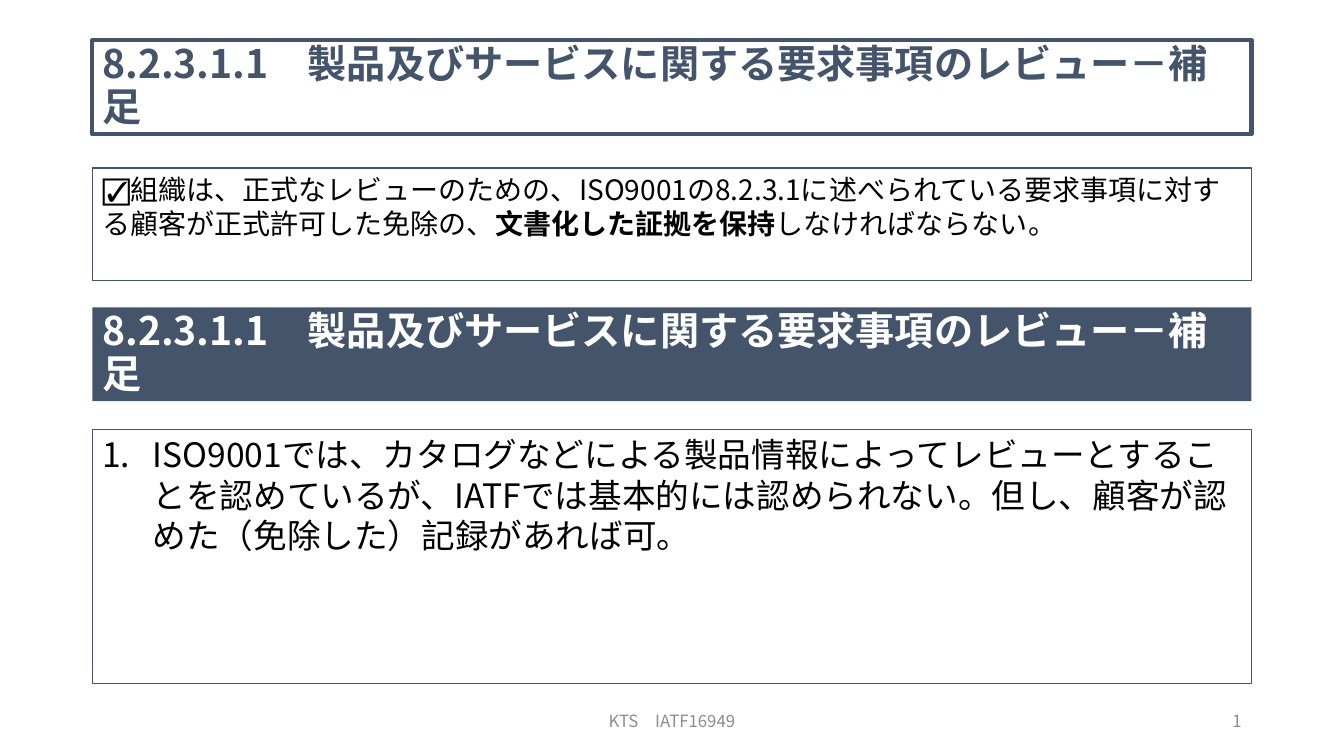
from pptx import Presentation
from pptx.dml.color import RGBColor
from pptx.enum.shapes import MSO_SHAPE
from pptx.enum.text import MSO_ANCHOR, PP_ALIGN
from pptx.oxml.ns import qn
from pptx.util import Pt
from lxml.etree import SubElement

FACE = "Noto Sans CJK JP"
NAVY, WHITE, BLACK, GRAY = "44546A", "FFFFFF", "000000", "8C8C8C"
LEFT, WIDTH = 66, 828


def color(code):
    return RGBColor.from_string(code)


def write(shape, parts, size, tint, bold=False, anchor=MSO_ANCHOR.TOP,
          align=PP_ALIGN.LEFT, number=False):
    """Fill a shape with one paragraph of (text, bold) parts."""
    frame = shape.text_frame
    frame.word_wrap = True
    frame.vertical_anchor = anchor
    para = frame.paragraphs[0]
    para.alignment = align
    if number:
        props = para._p.get_or_add_pPr()
        props.set("marL", str(Pt(36)))
        props.set("indent", str(Pt(-36)))
        SubElement(props, qn("a:buFont"), typeface="+mj-lt")
        SubElement(props, qn("a:buAutoNum"), type="arabicPeriod")
    font = para.font
    font.name, font.size, font.bold = FACE, Pt(size), bold
    font.color.rgb = color(tint)
    SubElement(font._element, qn("a:ea"), typeface=FACE)
    for text, strong in parts:
        run = para.add_run()
        run.text = text
        if strong:
            run.font.bold = True
    return para


deck = Presentation()
deck.slide_width, deck.slide_height = Pt(960), Pt(540)
slide = deck.slides.add_slide(deck.slide_layouts[6])

title = "8.2.3.1.1\u3000製品及びサービスに関する要求事項のレビュー－補足".replace("\u3000", "　")
rule = [
    ("☑組織は、正式なレビューのための、ISO9001の8.2.3.1に述べられている要求事項に対する"
     "顧客が正式許可した免除の、", False),
    ("文書化した証拠を保持", True),
    ("しなければならない。", False),
]
note = ("ISO9001では、カタログなどによる製品情報によってレビューとすることを認めているが、"
        "IATFでは基本的には認められない。但し、顧客が認めた（免除した）記録があれば可。")

# top, height, fill, line width, parts, size, text colour, heading, numbered
boxes = [
    (28.8, 67, WHITE, 3, [(title, False)], 28, NAVY, True, False),
    (120, 80.6, None, 1, rule, 20, BLACK, False, False),
    (219.6, 67, NAVY, 0, [(title, False)], 28, WHITE, True, False),
    (306.7, 181.4, None, 1, [(note, False)], 24, BLACK, False, True),
]
for top, height, fill, line, parts, size, tint, heading, number in boxes:
    box = slide.shapes.add_shape(
        MSO_SHAPE.RECTANGLE, Pt(LEFT), Pt(top), Pt(WIDTH), Pt(height))
    box.shadow.inherit = False
    if fill:
        box.fill.solid()
        box.fill.fore_color.rgb = color(fill)
    else:
        box.fill.background()
    if line:
        box.line.color.rgb = color(NAVY)
        box.line.width = Pt(line)
    else:
        box.line.fill.background()
    anchor = MSO_ANCHOR.MIDDLE if heading else MSO_ANCHOR.TOP
    para = write(box, parts, size, tint, heading, anchor, number=number)
    if heading:
        para.line_spacing = 0.9

footers = [
    (318, 324, "KTS　IATF16949", PP_ALIGN.CENTER),
    (678, 216, "1", PP_ALIGN.RIGHT),
]
for left, width, text, align in footers:
    foot = slide.shapes.add_textbox(Pt(left), Pt(500.5), Pt(width), Pt(28.75))
    write(foot, [(text, False)], 12, GRAY, anchor=MSO_ANCHOR.MIDDLE, align=align)

deck.save("out.pptx")
